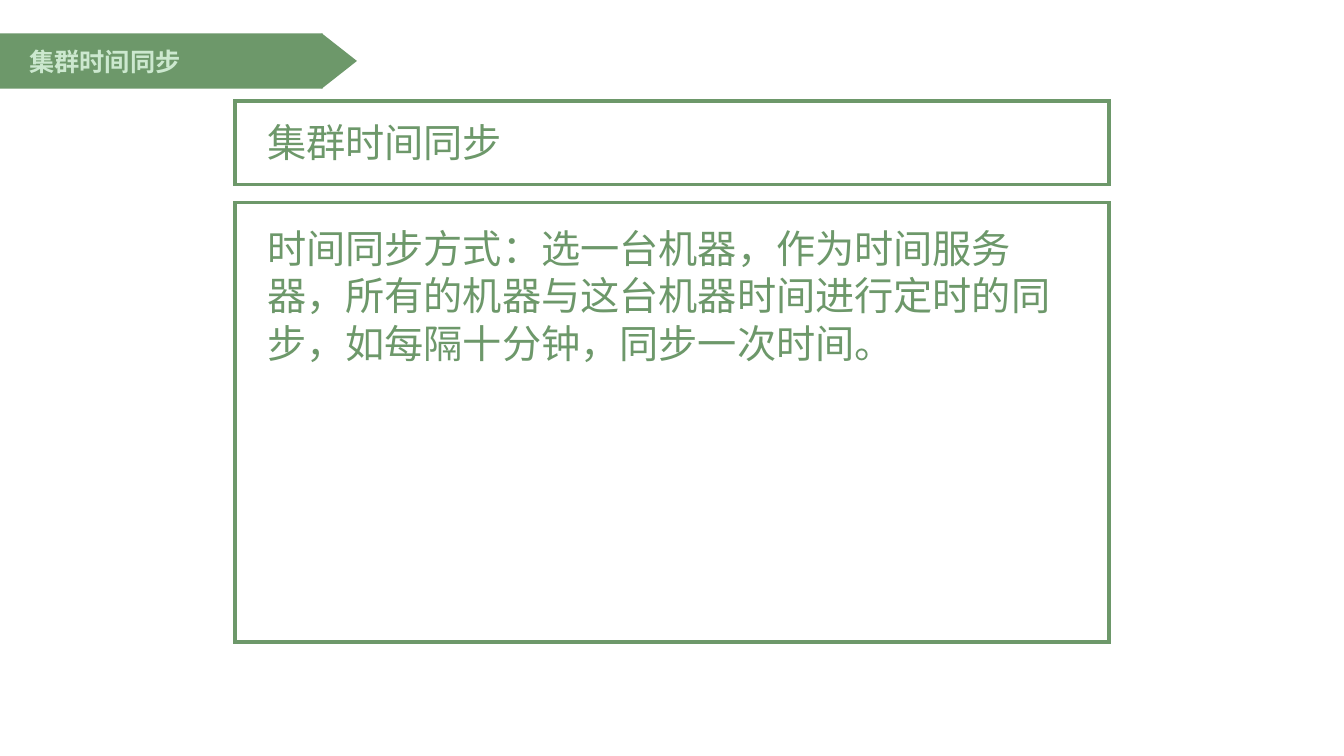
from lxml import etree
from pptx import Presentation
from pptx.dml.color import RGBColor
from pptx.enum import shapes, text
from pptx.oxml import ns
from pptx.util import Inches, Pt

GREEN = RGBColor(0x6D, 0x98, 0x6A)
PALE_GREEN = RGBColor(0xCC, 0xE8, 0xCF)
FONT = "Noto Sans CJK SC"
TOPIC = "集群时间同步"
METHOD = ("时间同步方式：选一台机器，作为时间服务器，所有的机器与这台机器时间"
          "进行定时的同步，如每隔十分钟，同步一次时间。")


def add_solid(parent, kind, box, rotation=0):
    """Add a filled green shape without an outline."""
    solid = parent.add_shape(kind, *map(Inches, box))
    solid.shadow.inherit = False
    solid.fill.solid()
    solid.fill.fore_color.rgb = GREEN
    solid.line.fill.background()
    solid.rotation = rotation


def add_frame(parent, box):
    """Add an unfilled rectangle with a sharp-cornered green outline."""
    frame = parent.add_shape(shapes.MSO_SHAPE.RECTANGLE, *map(Inches, box))
    frame.shadow.inherit = False
    frame.fill.background()
    frame.line.color.rgb = GREEN
    frame.line.width = Pt(2.5)
    outline = frame._element.spPr.find(ns.qn("a:ln"))
    etree.SubElement(outline, ns.qn("a:miter")).set("lim", "800000")


def add_label(parent, box, wording, size, color=GREEN, bold=False,
              anchor=text.MSO_ANCHOR.TOP):
    """Add a wrapped text box holding one run, without hanging punctuation."""
    label = parent.add_textbox(*map(Inches, box)).text_frame
    inset = Inches(0.05)
    layout = {"word_wrap": True, "vertical_anchor": anchor,
              "auto_size": text.MSO_AUTO_SIZE.SHAPE_TO_FIT_TEXT,
              "margin_left": inset, "margin_right": inset,
              "margin_top": inset, "margin_bottom": inset}
    for key, value in layout.items():
        setattr(label, key, value)
    paragraph = label.paragraphs[0]
    paragraph._p.get_or_add_pPr().set("hangingPunct", "0")
    run = paragraph.add_run()
    run.text = wording
    for key, value in {"size": Pt(size), "bold": bold, "name": FONT}.items():
        setattr(run.font, key, value)
    run.font.color.rgb = color
    east_asian = etree.SubElement(run._r.get_or_add_rPr(), ns.qn("a:ea"))
    east_asian.set("typeface", FONT)


def add_banner(slide):
    """Add the arrow-shaped section banner and its title."""
    arrow = slide.shapes.add_group_shape().shapes
    add_solid(arrow, shapes.MSO_SHAPE.RECTANGLE, (-0.01, 0.33, 3.21, 0.55))
    add_solid(arrow, shapes.MSO_SHAPE.ISOSCELES_TRIANGLE,
              (3.09, 0.43, 0.55, 0.35), 90)
    add_label(slide.shapes, (0.24, 0.41, 2.71, 0.4), TOPIC, 18, PALE_GREEN,
              True, text.MSO_ANCHOR.MIDDLE)


def main():
    """Build and save the slide."""
    deck = Presentation()
    deck.slide_width, deck.slide_height = Inches(13.33), Inches(7.5)
    slide = deck.slides.add_slide(deck.slide_layouts[6])
    add_banner(slide)
    panels = [((2.33, 2.01, 8.67, 4.36), (2.6, 2.18, 8.19, 1.51), METHOD),
              ((2.33, 1, 8.67, 0.83), (2.6, 1.12, 6.87, 0.57), TOPIC)]
    for frame_box, label_box, wording in panels:
        add_frame(slide.shapes, frame_box)
        add_label(slide.shapes, label_box, wording, 28)
    deck.save("out.pptx")


if __name__ == "__main__":
    main()
